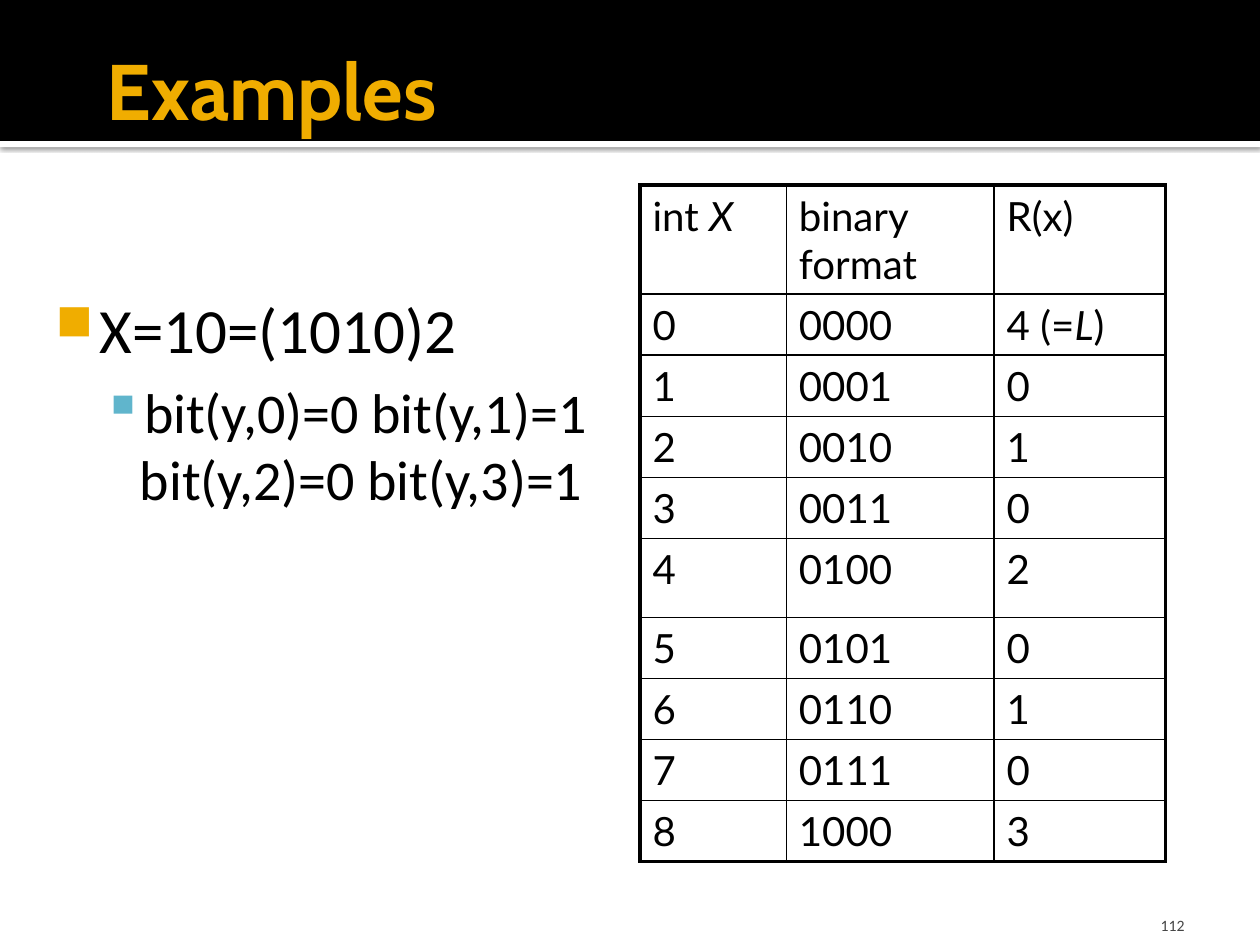
from dataclasses import dataclass

from lxml.etree import SubElement
from pptx import Presentation
from pptx.dml.color import RGBColor
from pptx.enum.shapes import MSO_SHAPE
from pptx.enum.text import MSO_ANCHOR, PP_ALIGN
from pptx.oxml.ns import qn
from pptx.util import Cm, Pt


@dataclass(frozen=True)
class Theme:
    black: str = "000000"
    white: str = "FFFFFF"
    gold: str = "F0AD00"
    blue: str = "60B5CC"
    grey: str = "454545"
    body_font: str = "Calibri"
    title_font: str = "Cabin"
    table_font: str = "Lato"
    title_size: float = 45
    body_size: float = 36
    detail_size: float = 32
    table_size: float = 23
    number_size: float = 9
    inner_line: float = 1
    outer_line: float = 2.25


theme = Theme()


def add_run(paragraph, text, size, font=theme.body_font, color=theme.black,
            bold=False, italic=False):
    run = paragraph.add_run()
    run.text = text
    run.font.size = Pt(size)
    run.font.name = font
    run.font.color.rgb = RGBColor.from_string(color)
    run.font.bold = bold
    run.font.italic = italic


def add_text_frame(slide, position, insets, anchor):
    frame = slide.shapes.add_textbox(*map(Cm, position)).text_frame
    frame.word_wrap = True
    frame.vertical_anchor = anchor
    (frame.margin_left, frame.margin_top,
     frame.margin_right, frame.margin_bottom) = map(Cm, insets)
    return frame


presentation = Presentation()
presentation.slide_width = Cm(25.4)
presentation.slide_height = Cm(19.05)
slide = presentation.slides.add_slide(presentation.slide_layouts[6])

# Header: white rule with a shadow, then the black band
for top, height, color in ((2.84, 0.13, theme.white), (0, 2.84, theme.black)):
    band = slide.shapes.add_shape(MSO_SHAPE.RECTANGLE, Cm(0), Cm(top), Cm(25.4), Cm(height))
    band.shadow.inherit = False
    band.fill.solid()
    band.fill.fore_color.rgb = RGBColor.from_string(color)
    band.line.fill.background()
    if color == theme.white:
        effects = band.fill._xPr.find(qn("a:effectLst"))
        shadow = SubElement(effects, qn("a:outerShdw"), blurRad=str(Pt(2.5)),
                            dist=str(Pt(0.8)), dir="5400000", algn="tl", rotWithShape="0")
        shadow_color = SubElement(shadow, qn("a:srgbClr"), val=theme.black)
        SubElement(shadow_color, qn("a:alpha"), val="60000")

# Title
title = add_text_frame(slide, (1.9, 0.2, 21.64, 3.18), (0.25, 0.13, 0.13, 0.13), MSO_ANCHOR.MIDDLE)
add_run(title.paragraphs[0], "Examples", theme.title_size,
        font=theme.title_font, color=theme.gold, bold=True)

# Bulleted example
body = add_text_frame(slide, (0.64, 5.61, 13.23, 5.18), (0.15, 0.25, 0.25, 0.13), MSO_ANCHOR.TOP)
bullets = (
    ("X=10=(1010)2", theme.body_size, 1.22, -0.89, "■", theme.gold, 80),
    ("bit(y,0)=0 bit(y,1)=1 bit(y,2)=0 bit(y,3)=1", theme.detail_size, 2.03, -0.76, "▪", theme.blue, 100),
)
for level, (text, size, margin, indent, symbol, color, percent) in enumerate(bullets):
    paragraph = body.add_paragraph() if level else body.paragraphs[0]
    paragraph.level = level
    if level:
        paragraph.space_before = Pt(0.2 * size)
    properties = paragraph._p.get_or_add_pPr()
    properties.set("marL", str(Cm(margin)))
    properties.set("indent", str(Cm(indent)))
    bullet_color = SubElement(properties, qn("a:buClr"))
    SubElement(bullet_color, qn("a:srgbClr"), val=color)
    SubElement(properties, qn("a:buSzPct"), val=str(percent * 1000))
    SubElement(properties, qn("a:buChar"), char=symbol)
    add_run(paragraph, text, size)

# Table: each cell is a list of (text, italic) runs
results = ("4", "0", "1", "0", "2", "0", "1", "0", "3")
rows = [[[("int ", False), ("X", True)], [("binary format", False)], [("R(x)", False)]]]
for number, result in enumerate(results):
    rows.append([[(str(number), False)], [(f"{number:04b}", False)], [(result, False)]])
rows[1][2] = [("4 (=", False), ("L", True), (")", False)]

column_widths = (2.95, 4.19, 3.45)
row_heights = [2.2] + [1.23] * 4 + [1.6] + [1.23] * 4
table = slide.shapes.add_table(len(rows), len(column_widths), Cm(12.9), Cm(3.73),
                               Cm(sum(column_widths)), Cm(sum(row_heights))).table
table.first_row = False
table.horz_banding = False
for column, width in zip(table.columns, column_widths):
    column.width = Cm(width)
for row, height in zip(table.rows, row_heights):
    row.height = Cm(height)

for row_index, row in enumerate(rows):
    for column_index, runs in enumerate(row):
        cell = table.cell(row_index, column_index)
        for text, italic in runs:
            add_run(cell.text_frame.paragraphs[0], text, theme.table_size,
                    font=theme.table_font, italic=italic)
        outer_sides = {
            "a:lnL": column_index == 0,
            "a:lnR": column_index == len(column_widths) - 1,
            "a:lnT": row_index == 0,
            "a:lnB": row_index == len(rows) - 1,
        }
        cell_properties = cell._tc.get_or_add_tcPr()
        for side, is_outer in outer_sides.items():
            line_width = theme.outer_line if is_outer else theme.inner_line
            border = SubElement(cell_properties, qn(side), w=str(Pt(line_width)))
            border_fill = SubElement(border, qn("a:solidFill"))
            SubElement(border_fill, qn("a:srgbClr"), val=theme.black)
        cell.fill.background()

# Slide number
footer = add_text_frame(slide, (18.85, 17.58, 5.28, 1.27), (0.25, 0.13, 0.25, 0), MSO_ANCHOR.BOTTOM)
footer.paragraphs[0].alignment = PP_ALIGN.RIGHT
add_run(footer.paragraphs[0], "112", theme.number_size, color=theme.grey)

presentation.save("out.pptx")
